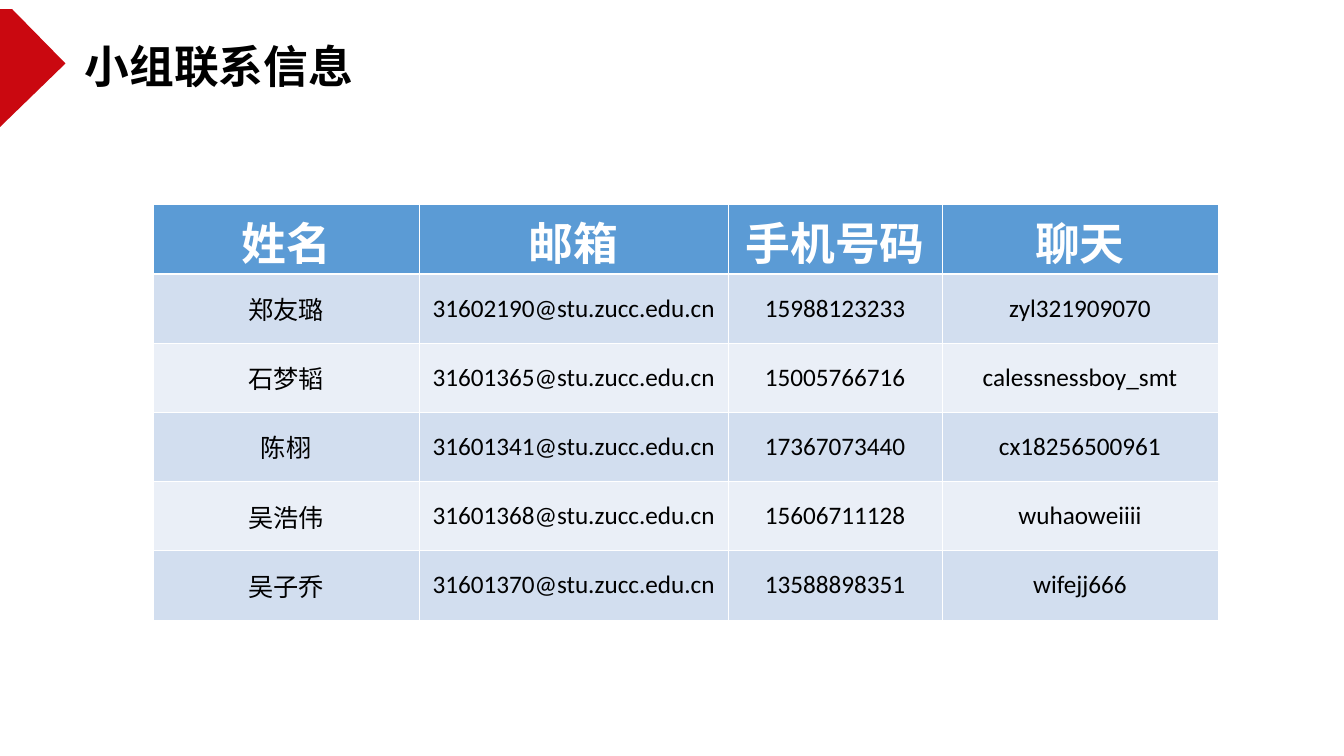
from lxml import etree
from pptx import Presentation
from pptx.dml.color import RGBColor
from pptx.enum import text
from pptx.oxml import ns
from pptx.util import Inches, Pt

COLORS = {
    "arrow": "CA0810", "black": "000000", "white": "FFFFFF",
    "header": "5B9BD5", "odd": "D2DEEF", "even": "EAEFF7",
}
CJK_FONT = "Noto Sans CJK SC"


def style_paragraph(paragraph, size, color, bold, latin, align):
    paragraph.alignment = align
    font = paragraph.font
    font.size, font.bold, font.name = Pt(size), bold, latin
    font.color.rgb = RGBColor.from_string(COLORS[color])
    defaults = paragraph._p.pPr.find(ns.qn("a:defRPr"))
    etree.SubElement(defaults, ns.qn("a:ea"), typeface=CJK_FONT)


def add_border(cell, side, width):
    line = etree.SubElement(cell._tc.get_or_add_tcPr(), ns.qn("a:" + side),
                            w=str(Pt(width)))
    fill = etree.SubElement(line, ns.qn("a:solidFill"))
    etree.SubElement(fill, ns.qn("a:srgbClr"), val=COLORS["white"])


prs = Presentation()
prs.slide_width, prs.slide_height = Inches(13.34), Inches(7.5)
slide = prs.slides.add_slide(prs.slide_layouts[5])

# Red marker at the left edge
outline = slide.shapes.build_freeform(Inches(0), Inches(0.09), scale=1.0)
outline.add_line_segments(
    [(Inches(x), Inches(y)) for x, y in [(0, 1.26), (0.65, 0.63), (0.12, 0.09)]])
marker = outline.convert_to_shape()
marker.shadow.inherit = False
marker.fill.solid()
marker.fill.fore_color.rgb = RGBColor.from_string(COLORS["arrow"])
marker.line.fill.background()

# Title
title = slide.shapes.title
title.left, title.top = Inches(0.74), Inches(0.33)
title.width, title.height = Inches(5.56), Inches(0.64)
title.text_frame.text = "小组联系信息"
title.text_frame.auto_size = text.MSO_AUTO_SIZE.NONE
title.text_frame.vertical_anchor = text.MSO_ANCHOR.MIDDLE
style_paragraph(title.text_frame.paragraphs[0], 32, "black", True, CJK_FONT,
                text.PP_ALIGN.LEFT)

# Contact table
contacts = [
    ("姓名", "邮箱", "手机号码", "聊天"),
    ("郑友璐", "31602190@stu.zucc.edu.cn", "15988123233", "zyl321909070"),
    ("石梦韬", "31601365@stu.zucc.edu.cn", "15005766716", "calessnessboy_smt"),
    ("陈栩", "31601341@stu.zucc.edu.cn", "17367073440", "cx18256500961"),
    ("吴浩伟", "31601368@stu.zucc.edu.cn", "15606711128", "wuhaoweiiii"),
    ("吴子乔", "31601370@stu.zucc.edu.cn", "13588898351", "wifejj666"),
]
column_widths = [2.64, 3.07, 2.12, 2.74]
table = slide.shapes.add_table(
    len(contacts), len(column_widths), Inches(1.52), Inches(2.03),
    Inches(sum(column_widths)), Inches(4.12)).table
for column, width in zip(table.columns, column_widths):
    column.width = Inches(width)

for r, contact in enumerate(contacts):
    is_header = r == 0
    band = "header" if is_header else ("odd" if r % 2 else "even")
    for c, entry in enumerate(contact):
        cell = table.cell(r, c)
        cell.text = entry
        cell.vertical_anchor = text.MSO_ANCHOR.MIDDLE
        if is_header:
            cell.margin_top, cell.margin_bottom = Inches(0.04), Inches(0)
        style_paragraph(cell.text_frame.paragraphs[0], 32 if is_header else 18,
                        "white" if is_header else "black", is_header,
                        "Calibri", text.PP_ALIGN.CENTER)
        # Thicker rule between header and body
        add_border(cell, "lnL", 0.45)
        add_border(cell, "lnR", 0.45)
        add_border(cell, "lnT", 1.47 if r == 1 else 0.45)
        add_border(cell, "lnB", 1.47 if is_header else 0.45)
        cell.fill.solid()
        cell.fill.fore_color.rgb = RGBColor.from_string(COLORS[band])

prs.save("out.pptx")
